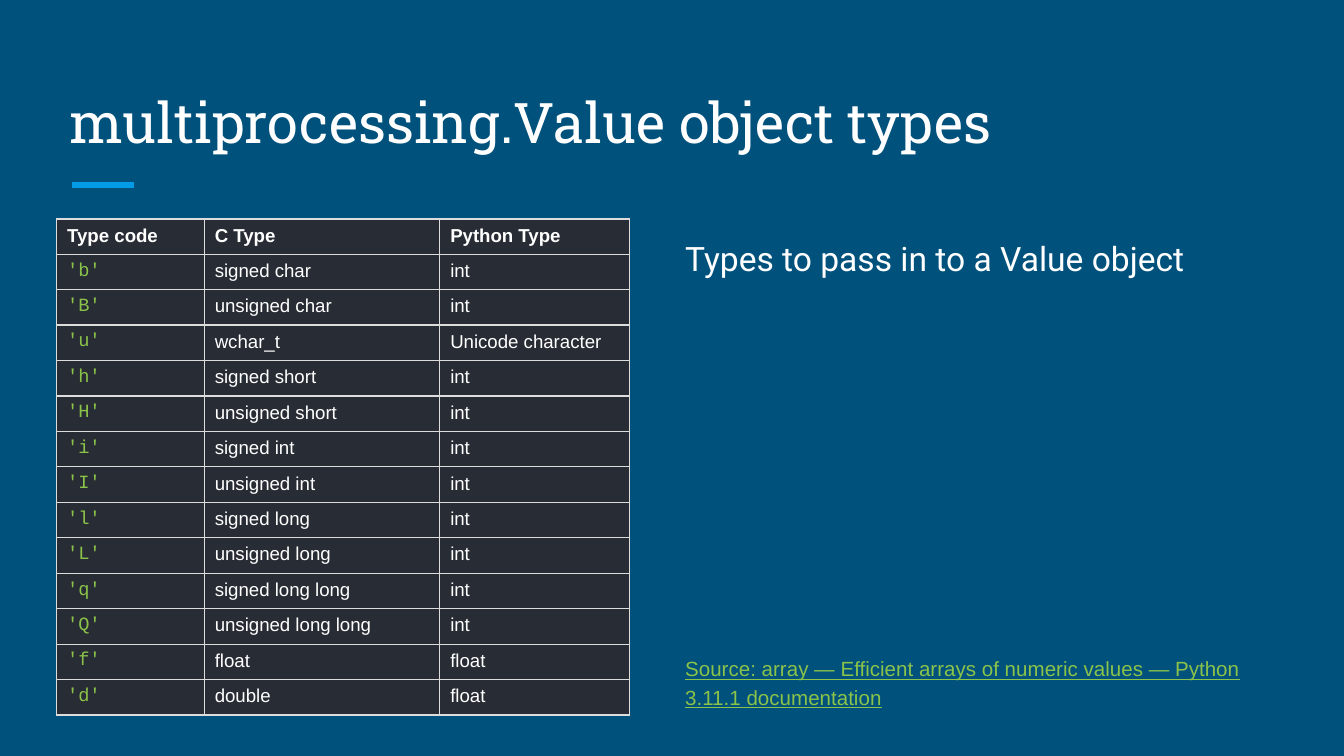
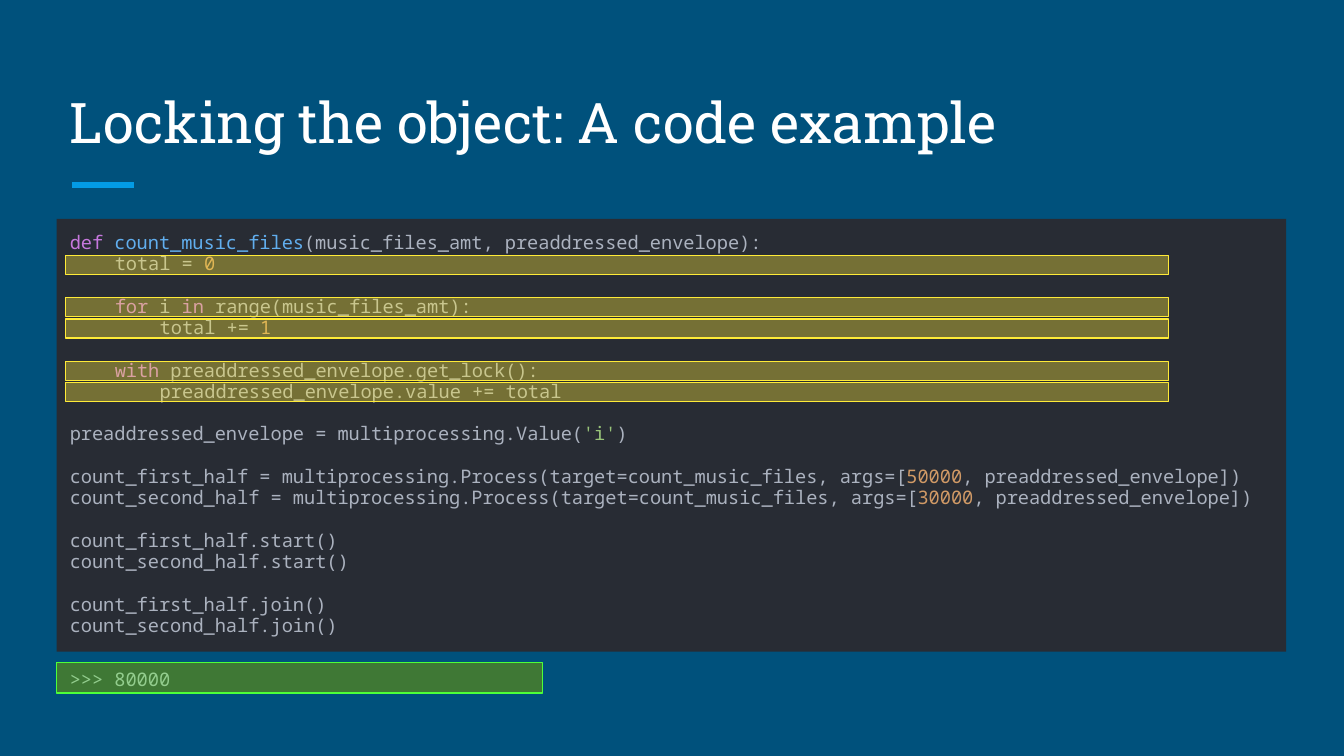
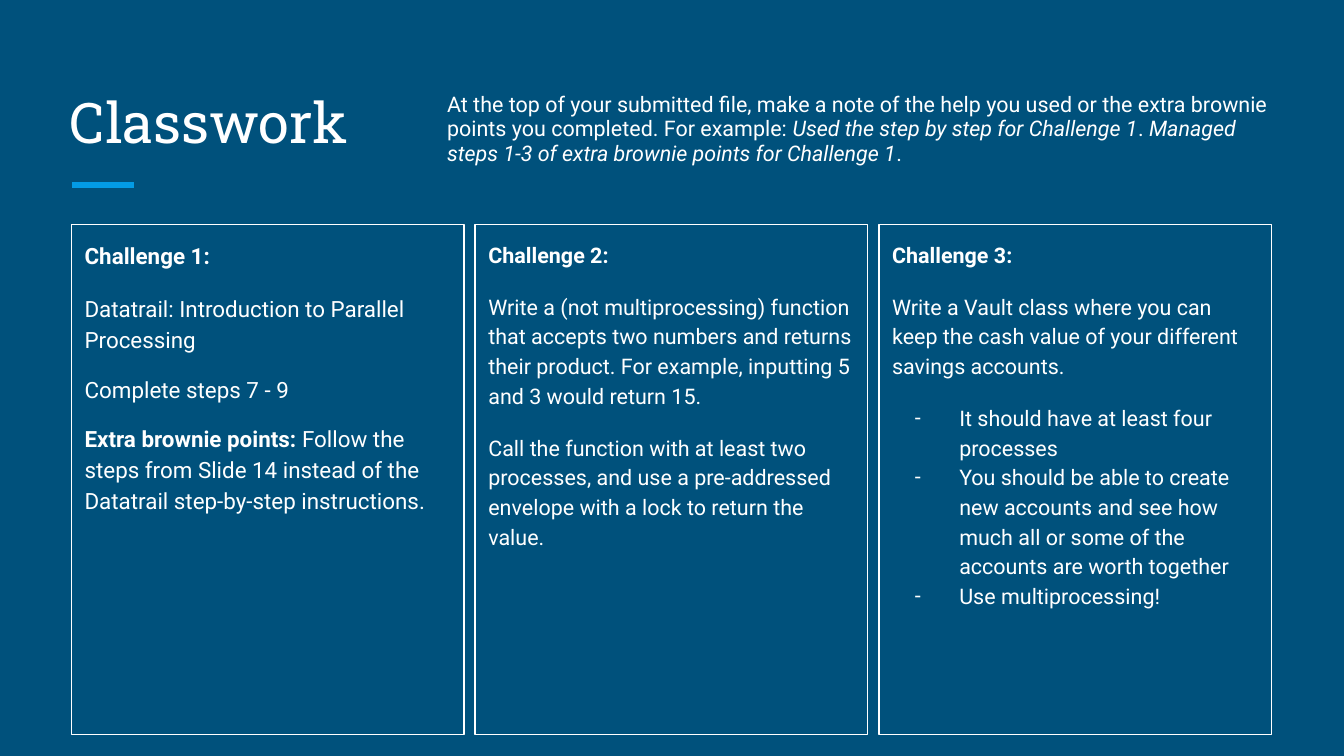
import pptx
import pptx.util
import pptx.dml.color
import pptx.enum.shapes
import pptx.enum.text
import pptx.oxml
import pptx.oxml.ns
import lxml.etree

Cm = pptx.util.Cm
Pt = pptx.util.Pt

COLORS = {
    "background": "00517C", "accent": "039BE5", "white": "FFFFFF",
    "panel": "282C34", "border": "DDDDDD", "green": "8BC34A",
    "plain": "ABB2BF", "keyword": "C678DD", "function": "61AEEE",
    "number": "D19A66", "string": "98C379", "marker": "FFEB38",
    "result": "6AFF38", "result line": "4DFF38",
}
LEFT, TOP, WIDTH = 1.07, 4.14, 23.24
INDENT = 0.85
CODE_PITCH = 11.4


def rgb(name):
    return pptx.dml.color.RGBColor.from_string(COLORS[name])


def add_xml(parent, tag, **attributes):
    element = lxml.etree.SubElement(parent, pptx.oxml.ns.qn(tag))
    for key, value in attributes.items():
        element.set(key, str(value))
    return element


class Deck:
    def __init__(self):
        self.presentation = pptx.Presentation()
        self.presentation.slide_width = Cm(25.4)
        self.presentation.slide_height = Cm(14.29)
        self.slide = None

    def start(self, title):
        self.slide = self.presentation.slides.add_slide(self.presentation.slide_layouts[6])
        self.slide.background.fill.solid()
        self.slide.background.fill.fore_color.rgb = rgb("background")
        connector = self.slide.shapes.add_connector(
            pptx.enum.shapes.MSO_CONNECTOR.STRAIGHT, Cm(1.37), Cm(3.5), Cm(2.54), Cm(3.5))
        connector.line.color.rgb = rgb("accent")
        connector.line.width = Pt(3)
        add_xml(connector._element.spPr, "a:effectLst")
        frame = self.text_box(LEFT, 1.27, WIDTH, 1.9, anchor="BOTTOM")
        self.paragraph(frame, [(title, {})], size=30, font="Roboto Slab", spacing=1)

    def prepare(self, frame, anchor):
        frame.word_wrap = True
        frame.vertical_anchor = getattr(pptx.enum.text.MSO_ANCHOR, anchor)
        frame.margin_left = frame.margin_right = Cm(0.25)
        frame.margin_top = frame.margin_bottom = Cm(0.25)
        return frame

    def text_box(self, left, top, width, height, anchor="TOP"):
        shape = self.slide.shapes.add_textbox(Cm(left), Cm(top), Cm(width), Cm(height))
        return self.prepare(shape.text_frame, anchor)

    def box(self, left, top, width, height, fill=None, line=None, alpha=None, anchor="TOP"):
        shape = self.slide.shapes.add_shape(
            pptx.enum.shapes.MSO_SHAPE.RECTANGLE, Cm(left), Cm(top), Cm(width), Cm(height))
        shape.shadow.inherit = False
        if fill:
            shape.fill.solid()
            shape.fill.fore_color.rgb = rgb(fill)
            if alpha:
                color = shape._element.spPr.find(".//" + pptx.oxml.ns.qn("a:srgbClr"))
                add_xml(color, "a:alpha", val=alpha * 1000)
        else:
            shape.fill.background()
        if line:
            shape.line.color.rgb = rgb(line)
            shape.line.width = Pt(0.75)
        else:
            shape.line.fill.background()
        return self.prepare(shape.text_frame, anchor)

    def paragraph(self, frame, runs, size, font="Roboto", color="white",
                  spacing=1.15, before=0, after=0, indent=0, bullet=False):
        paragraph = frame.paragraphs[0]
        if paragraph.runs:
            paragraph = frame.add_paragraph()
        paragraph.alignment = pptx.enum.text.PP_ALIGN.LEFT
        paragraph.line_spacing = spacing
        paragraph.space_before = Pt(before)
        paragraph.space_after = Pt(after)
        properties = paragraph._p.get_or_add_pPr()
        if indent:
            properties.set("marL", str(Cm(indent)))
            properties.set("indent", "0")
        if bullet:
            properties.set("marL", str(Cm(1.27)))
            properties.set("indent", str(Cm(-0.84)))
            add_xml(add_xml(properties, "a:buClr"), "a:srgbClr", val=COLORS[color])
            add_xml(properties, "a:buFont", typeface=font)
            add_xml(properties, "a:buChar", char="-")
        for text, style in runs:
            run = paragraph.add_run()
            run.text = text
            run.font.size = Pt(size)
            run.font.name = font
            run.font.color.rgb = rgb(style.get("color", color))
            run.font.bold = style.get("bold", False)
            run.font.italic = style.get("italic", False)
            run.font.underline = style.get("underline", False)

    def code(self, frame, lines):
        for level, gap, parts in lines:
            runs = [(text, {"color": color}) for text, color in parts]
            self.paragraph(frame, runs, size=10, font="Noto Sans Mono", spacing=0.95,
                           before=gap * CODE_PITCH, indent=level * INDENT)

    def table(self, left, top, widths, rows):
        heights = [0.64] + [0.67] * (len(rows) - 1)
        table = self.slide.shapes.add_table(
            len(rows), len(widths), Cm(left), Cm(top), Cm(sum(widths)), Cm(sum(heights))).table
        table.first_row = table.horz_banding = False
        for column, width in zip(table.columns, widths):
            column.width = Cm(width)
        for row_index, (row, height) in enumerate(zip(rows, heights)):
            table.rows[row_index].height = Cm(height)
            for column_index, text in enumerate(row):
                self.cell(table.cell(row_index, column_index), text,
                          header=row_index == 0, code=row_index > 0 and column_index == 0)

    def cell(self, cell, text, header, code):
        cell.margin_left = cell.margin_right = Cm(0.2)
        cell.margin_top = cell.margin_bottom = Cm(0.12)
        properties = cell._tc.get_or_add_tcPr()
        for side in "LRTB":
            border = add_xml(properties, "a:ln" + side, w=Pt(0.75))
            add_xml(add_xml(border, "a:solidFill"), "a:srgbClr", val=COLORS["border"])
        cell.fill.solid()
        cell.fill.fore_color.rgb = rgb("panel")
        self.paragraph(cell.text_frame, [(text, {"bold": header})], size=10, spacing=1,
                       font="Courier New" if code else "Arial",
                       color="green" if code else "white")


deck = Deck()

deck.start("multiprocessing.Value object types")
frame = deck.text_box(12.7, TOP, 11.63, 1.35)
deck.paragraph(frame, [("Types to pass in to a Value object", {})], size=18, after=12)
deck.table(LEFT, TOP, [2.79, 4.45, 3.58], [
    ("Type code", "C Type", "Python Type"),
    ("'b'", "signed char", "int"),
    ("'B'", "unsigned char", "int"),
    ("'u'", "wchar_t", "Unicode character"),
    ("'h'", "signed short", "int"),
    ("'H'", "unsigned short", "int"),
    ("'i'", "signed int", "int"),
    ("'I'", "unsigned int", "int"),
    ("'l'", "signed long", "int"),
    ("'L'", "unsigned long", "int"),
    ("'q'", "signed long long", "int"),
    ("'Q'", "unsigned long long", "int"),
    ("'f'", "float", "float"),
    ("'d'", "double", "float"),
])
frame = deck.text_box(12.7, 12.09, 11.3, 1.52)
source = "Source: array — Efficient arrays of numeric values — Python 3.11.1 documentation"
deck.paragraph(frame, [(source, {"underline": True})], size=11, font="Arial",
               color="green", after=12)

deck.start("Locking the object: A code example")
process = " = multiprocessing.Process(target=count_music_files, args=["
deck.code(deck.box(LEFT, TOP, WIDTH, 8.18, fill="panel"), [
    (0, 0, [("def", "keyword"), (" ", "plain"), ("count_music_files", "function"),
            ("(music_files_amt, preaddressed_envelope):", "plain")]),
    (1, 0, [("total = ", "plain"), ("0", "number")]),
    (1, 1, [("for", "keyword"), (" i ", "plain"), ("in", "keyword"),
            (" range(music_files_amt):", "plain")]),
    (2, 0, [("total += ", "plain"), ("1", "number")]),
    (1, 1, [("with", "keyword"), (" preaddressed_envelope.get_lock():", "plain")]),
    (2, 0, [("preaddressed_envelope.value += total", "plain")]),
    (0, 1, [("preaddressed_envelope = multiprocessing.Value(", "plain"),
            ("'i'", "string"), (")", "plain")]),
    (0, 1, [("count_first_half" + process, "plain"), ("50000", "number"),
            (", preaddressed_envelope])", "plain")]),
    (0, 0, [("count_second_half" + process, "plain"), ("30000", "number"),
            (", preaddressed_envelope])", "plain")]),
    (0, 1, [("count_first_half.start()", "plain")]),
    (0, 0, [("count_second_half.start()", "plain")]),
    (0, 1, [("count_first_half.join()", "plain")]),
    (0, 0, [("count_second_half.join()", "plain")]),
])
for line_number in (0, 2, 3, 5, 6):
    deck.box(1.24, 4.83 + 0.4 * line_number, 20.85, 0.36,
             fill="marker", line="marker", alpha=36)
output_area = (LEFT, 12.52, 9.19, 0.58)
frame = deck.box(*output_area, fill="panel", anchor="MIDDLE")
deck.paragraph(frame, [(">>> 80000", {})], size=10, font="Noto Sans Mono", color="plain")
deck.box(*output_area, fill="result", line="result line", alpha=36)

deck.start("Classwork")
frame = deck.text_box(8.2, 1.5, 16.13, 1.9)
deck.paragraph(frame, [
    ("At the top of your submitted file, make a note of the help you used or the extra "
     "brownie points you completed. For example: ", {}),
    ("Used the step by step for Challenge 1", {"italic": True}),
    (". ", {}),
    ("Managed steps 1-3 of extra brownie points for Challenge 1", {"italic": True}),
    (".", {}),
], size=11.5, spacing=0.95, after=10)

challenges = [
    (12, [
        ([("Datatrail: Introduction to Parallel Processing", {})], {"before": 12}),
        ([("Complete steps 7 - 9", {})], {"before": 10}),
        ([("Extra brownie points:", {"bold": True}),
          (" Follow the steps from Slide 14 instead of the Datatrail step-by-step "
           "instructions.", {})], {"before": 10, "after": 10}),
    ]),
    (11.5, [
        ([("Write a (not multiprocessing) function that accepts two numbers and returns "
           "their product. For example, inputting 5 and 3 would return 15.", {})],
         {"before": 12}),
        ([("Call the function with at least two processes, and use a pre-addressed "
           "envelope with a lock to return the value.", {})], {"before": 12, "after": 12}),
    ]),
    (11.5, [
        ([("Write a Vault class where you can keep the cash value of your different "
           "savings accounts.", {})], {"before": 12}),
        ([("It should have at least four processes", {})], {"before": 12, "bullet": True}),
        ([("You should be able to create new accounts and see how much all or some of "
           "the accounts are worth together", {})], {"bullet": True}),
        ([("Use multiprocessing!", {})], {"bullet": True}),
    ]),
]
for index, (size, paragraphs) in enumerate(challenges):
    frame = deck.box(1.35 + 7.63 * index, 4.25, 7.42, 9.63, line="white")
    deck.paragraph(frame, [(f"Challenge {index + 1}:", {"bold": True})], size=size)
    for runs, layout in paragraphs:
        deck.paragraph(frame, runs, size=size, **layout)

deck.presentation.save("out.pptx")
